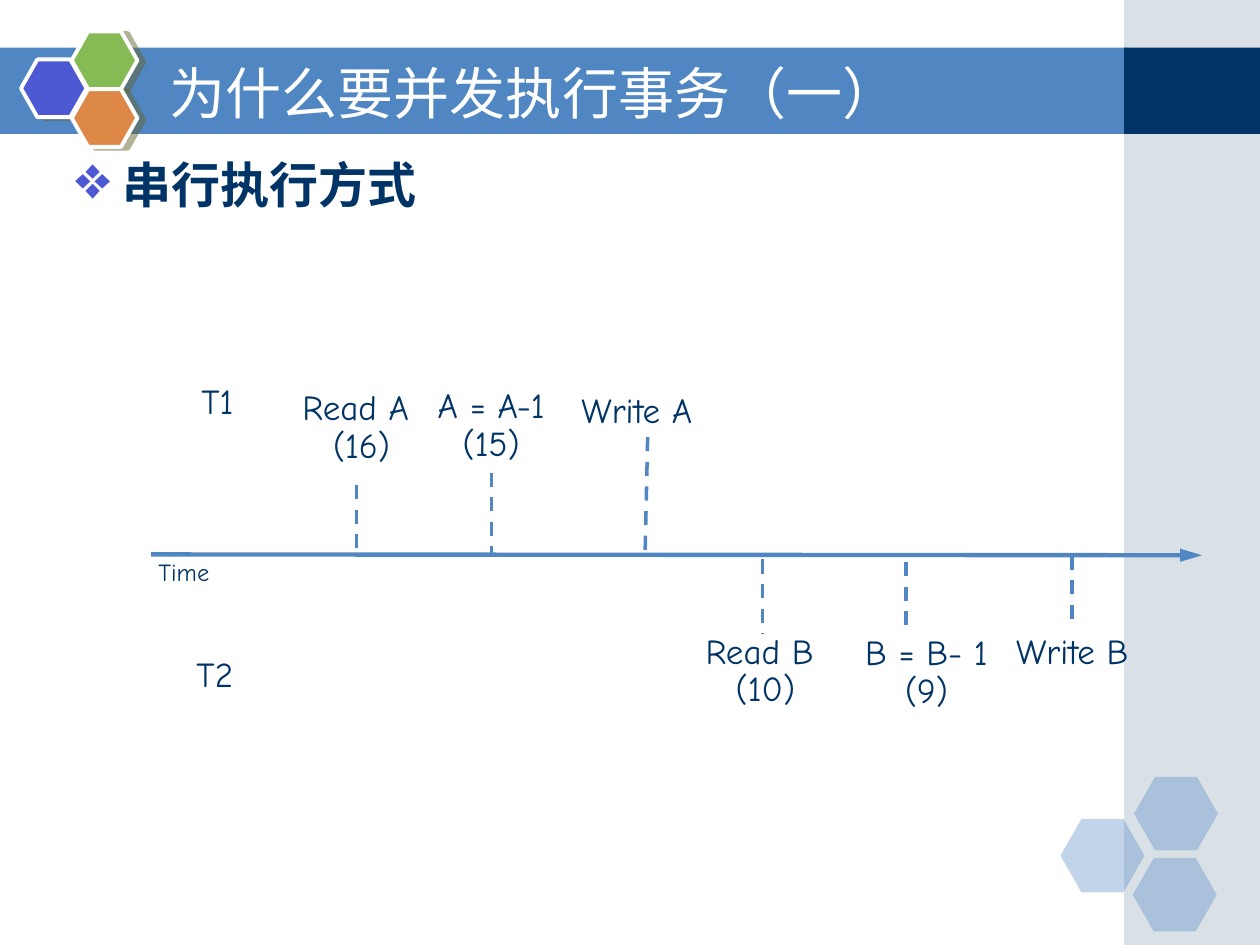
import lxml.etree
import pptx
import pptx.dml.color
import pptx.enum.dml
import pptx.enum.shapes
import pptx.enum.text
import pptx.oxml.ns
import pptx.util

Pt = pptx.util.Pt
qn = pptx.oxml.ns.qn
SHAPE = pptx.enum.shapes.MSO_SHAPE
ALIGN = pptx.enum.text.PP_ALIGN
ANCHOR = pptx.enum.text.MSO_ANCHOR
BLUE, NAVY, VIOLET, WHITE = "5086C2", "003366", "4C59D2", "FFFFFF"


def color(value):
    """Turn a hex string into a colour."""
    return pptx.dml.color.RGBColor.from_string(value)


def add_element(parent, tag, **attributes):
    """Append a DrawingML element and return it."""
    element = lxml.etree.SubElement(parent, qn(tag))
    for name, value in attributes.items():
        element.set(name, str(value))
    return element


def add_filled(shapes, kind, box, fill, opacity=100):
    """Add a borderless preset shape with a solid fill."""
    shape = shapes.add_shape(kind, *map(Pt, box))
    shape.shadow.inherit = False
    shape.fill.solid()
    shape.fill.fore_color.rgb = color(fill)
    shape.line.fill.background()
    if opacity < 100:
        rgb = shape._element.spPr.find(qn("a:solidFill")).find(qn("a:srgbClr"))
        add_element(rgb, "a:alpha", val=opacity * 1000)
    return shape


def add_text(shapes, box, text, size=20, font="Comic Neue", fill=NAVY, bold=False,
             align=ALIGN.CENTER, anchor=ANCHOR.MIDDLE, spacing=0.9, wrap=False, bullet=None):
    """Add a text box with one paragraph for each line of text."""
    shape = shapes.add_textbox(*map(Pt, box))
    frame = shape.text_frame
    frame.word_wrap = wrap
    frame.vertical_anchor = anchor
    if not wrap:
        frame.auto_size = pptx.enum.text.MSO_AUTO_SIZE.SHAPE_TO_FIT_TEXT
        frame.margin_left = frame.margin_right = Pt(4)
    frame.text = text
    for paragraph in frame.paragraphs:
        paragraph.alignment = align
        paragraph.line_spacing = spacing
        if bullet:
            properties = paragraph._p.get_or_add_pPr()
            properties.set("marL", str(Pt(27)))
            properties.set("indent", str(Pt(-27)))
            add_element(add_element(properties, "a:buClr"), "a:srgbClr", val=VIOLET)
            add_element(properties, "a:buSzPct", val=125000)
            add_element(properties, "a:buChar", char=bullet)
        for run in paragraph.runs:
            run.font.name = font
            run.font.size = Pt(size)
            run.font.bold = bold
            run.font.color.rgb = color(fill)
    return shape


def add_line(shapes, start, end, width, dashed=False, arrow=False):
    """Add a straight blue connector."""
    line = shapes.add_connector(pptx.enum.shapes.MSO_CONNECTOR.STRAIGHT,
                                *map(Pt, (*start, *end)))
    line.line.color.rgb = color(BLUE)
    line.line.width = Pt(width)
    if dashed:
        line.line.dash_style = pptx.enum.dml.MSO_LINE.DASH
    if arrow:
        add_element(line.line._get_or_add_ln(), "a:tailEnd", type="triangle", len="lg")
    add_element(line._element.spPr, "a:effectLst")


def draw_frame(slide, box):
    """Draw the title band and the sidebar that crosses it."""
    left, top, width, height = box
    sidebar, band_top, band_height = 77.7, top + 27.3, 49.2
    sidebar_left = left + width - sidebar
    add_filled(slide.shapes, SHAPE.RECTANGLE,
               (left, band_top, width - sidebar + 2, band_height), BLUE)
    group = slide.shapes.add_group_shape()
    add_filled(group.shapes, SHAPE.RECTANGLE, (sidebar_left, top, sidebar, height), "A0B5C4", 40)
    add_filled(group.shapes, SHAPE.RECTANGLE,
               (sidebar_left, band_top, sidebar, band_height), NAVY)


def draw_corner_hexagons(slide, box):
    """Draw the three pale hexagons in the corner."""
    left, top, width, height = box
    for x, y in ((0, 24), (42, 0), (41.3, 46.3)):
        hexagon = add_filled(slide.shapes, SHAPE.HEXAGON,
                             (left + x, top + y, width - 42, height - 46.3), BLUE, 35)
        hexagon.adjustments[0] = 0.286


def draw_emblem(slide, box):
    """Draw the cluster of three outlined hexagons with hard shadows."""
    left, top, width, height = box
    group = slide.shapes.add_group_shape()
    for x, y, fill in ((0, 16, VIOLET), (29, 0, "85BA54"), (29, 33, "DE8848")):
        hexagon = add_filled(group.shapes, SHAPE.HEXAGON,
                             (left + x, top + y, width - 29, height - 33), fill)
        hexagon.adjustments[0] = 0.283
        hexagon.line.color.rgb = color(WHITE)
        hexagon.line.width = Pt(2.25)
        effects = hexagon._element.spPr.find(qn("a:effectLst"))
        shadow = add_element(effects, "a:outerShdw", blurRad=0, dist=Pt(4.1),
                             dir=14 * 60000, algn="ctr", rotWithShape=0)
        add_element(add_element(shadow, "a:srgbClr", val="666633"), "a:alpha", val=50000)


def draw_headings(slide, box):
    """Place the slide title and the bulleted heading below it."""
    left, top, width, height = box
    common = dict(font="DejaVu Sans", align=ALIGN.LEFT, spacing=1, wrap=True)
    add_text(slide.shapes, (left + 54, top, 527.8, 44.6), "为什么要并发执行事务（一）",
             size=32, fill=WHITE, **common)
    add_text(slide.shapes, (left, top + 54.7, width, height - 54.7), "串行执行方式",
             size=28, bold=True, anchor=ANCHOR.TOP, bullet="❖", **common)


def draw_timeline(slide, box):
    """Draw the time axis, the transaction names and their steps."""
    left, top, width, height = box
    axis = top + height / 2
    add_text(slide.shapes, (left + 18.7, axis + 55.4, 35.3, 28.8), "T2")
    add_text(slide.shapes, (left + 21.6, axis - 100.8, 32.4, 28.8), "T1")
    add_line(slide.shapes, (left, axis), (left + width, axis + 0.5), 2.5, arrow=True)
    add_text(slide.shapes, (left - 2.9, axis, 43.2, 22.3), "Time", size=14)
    steps = (
        ("Read B \v(10)", (309.6, 41.8, 82.8, 50.4), (349.2, 2.9), (349.2, 45.4)),
        ("Read A \v(16)", (79.2, -97.2, 82.1, 50.4), (117.4, -39.6), (117.4, -3.6)),
        ("B = B- 1\n(9)", (401, 42.5, 84.2, 50.4), (431.3, 4.3), (431.3, 46.1)),
        ("A = A-1\n(15)", (156.2, -98.6, 76.3, 50.4), (194.4, -46.8), (194.4, 1)),
        ("Write B", (486.7, 41.8, 79.2, 28.8), (526.3, 0.7), (526.3, 40.3)),
        ("Write A", (238.3, -95.8, 78.5, 28.8), (283.7, -67), (282.2, 1)),
    )
    for text, (x, y, label_width, label_height), start, end in steps:
        group = slide.shapes.add_group_shape()
        add_text(group.shapes, (left + x, axis + y, label_width, label_height), text)
        add_line(group.shapes, *((left + dx, axis + dy) for dx, dy in (start, end)),
                 2, dashed=True)


def main():
    """Build the slide and save it."""
    presentation = pptx.Presentation()
    presentation.slide_width, presentation.slide_height = Pt(720), Pt(540)
    slide = presentation.slides.add_slide(presentation.slide_layouts[6])
    draw_frame(slide, (0, 0, 720, 540))
    draw_corner_hexagons(slide, (606, 444, 90, 88.3))
    draw_emblem(slide, (12, 18, 66.5, 66))
    draw_headings(slide, (36, 30.3, 648, 468))
    draw_timeline(slide, (86.4, 216, 600.5, 201.6))
    presentation.save("out.pptx")


if __name__ == "__main__":
    main()
